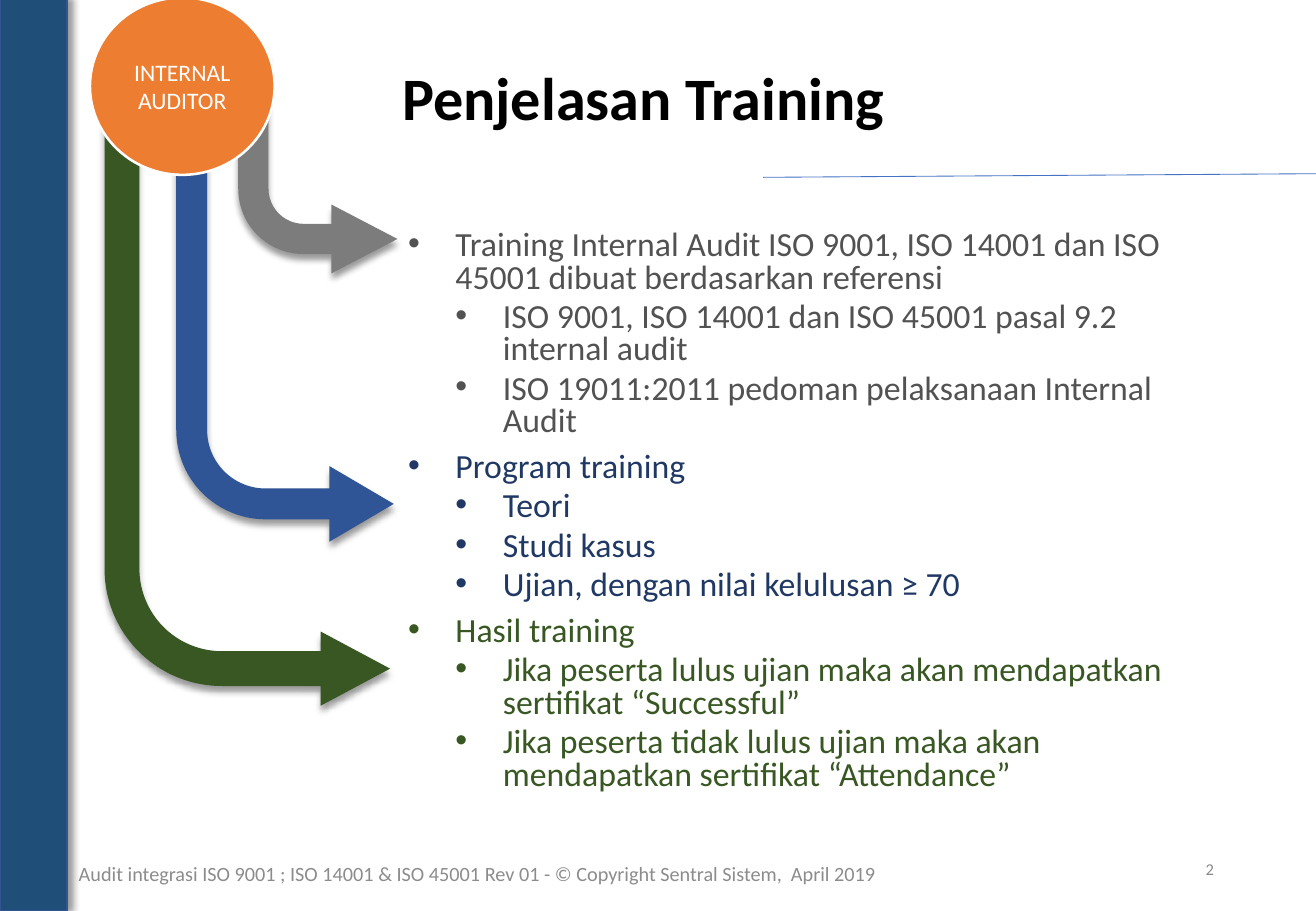
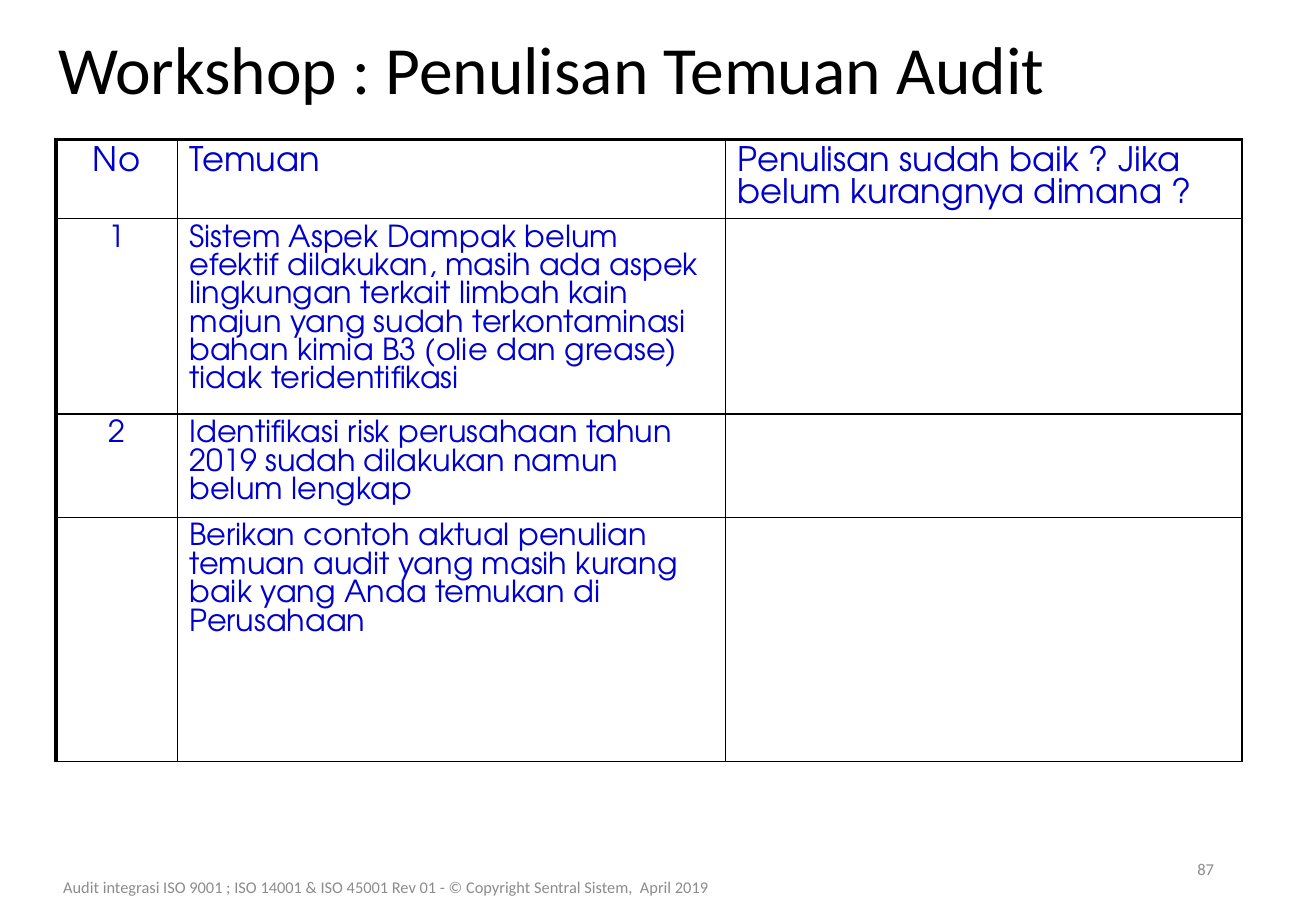
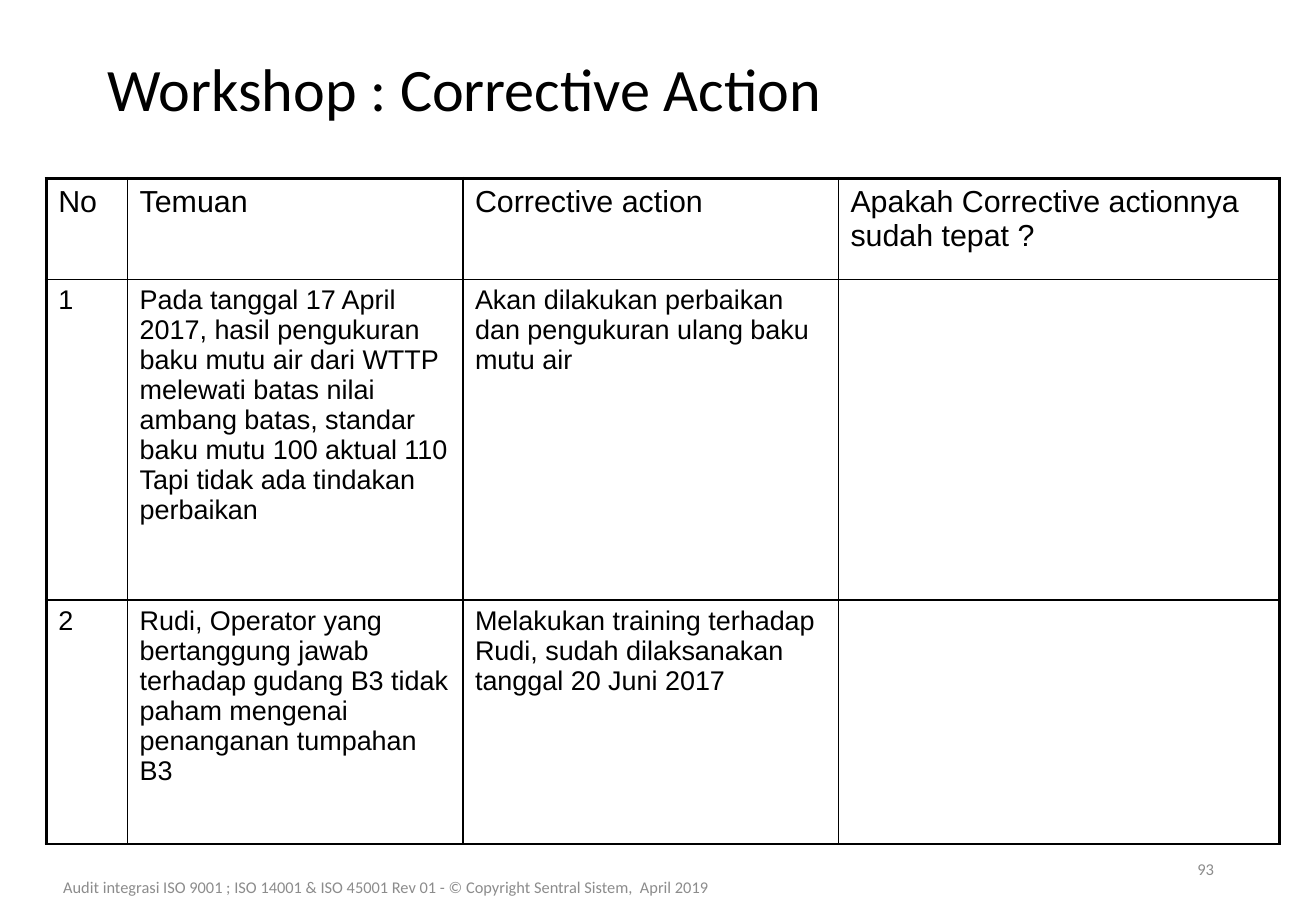
"""Build three internal audit training slides: an overview and two workshop tables."""
from dataclasses import dataclass

from lxml import etree
from pptx import Presentation
from pptx.dml.color import RGBColor
from pptx.enum.shapes import MSO_CONNECTOR, MSO_SHAPE
from pptx.enum.text import MSO_ANCHOR, PP_ALIGN
from pptx.oxml.ns import qn
from pptx.util import Inches, Pt

LEFT, CENTER, RIGHT = PP_ALIGN.LEFT, PP_ALIGN.CENTER, PP_ALIGN.RIGHT
TOP, MIDDLE = MSO_ANCHOR.TOP, MSO_ANCHOR.MIDDLE
ELLIPSE, RECTANGLE, BENT_ARROW = MSO_SHAPE.OVAL, MSO_SHAPE.RECTANGLE, MSO_SHAPE.BENT_ARROW
STRAIGHT = MSO_CONNECTOR.STRAIGHT


@dataclass(frozen=True)
class Theme:
    """Colours, fonts, type sizes and line widths."""
    font: str = "Calibri"
    black: str = "000000"
    white: str = "FFFFFF"
    muted: str = "8C8C8C"
    band: str = "1F4E79"
    band_edge: str = "325491"
    rule: str = "4472C4"
    badge: str = "ED7D31"
    title_size: float = 35.7
    wide_title_size: float = 40
    body_size: float = 20
    badge_size: float = 14
    footer_size: float = 12
    small_footer_size: float = 9.7
    number_size: float = 9.8
    thick: float = 2.25
    thin: float = 1


THEME = Theme()
WIDTH, HEIGHT = 10.83, 7.5
FOOTER = "Audit integrasi ISO 9001 ; ISO 14001 & ISO 45001 Rev 01 - © Copyright Sentral Sistem,  April 2019"
NUMBER_BOX = (7.65, 6.95, 2.44, 0.4)
WORKSHOP_FOOTER_BOX = (-0.09, 7.1, 6.54, 0.4)

TOPICS = [
    ("525252", "Training Internal Audit ISO 9001, ISO 14001 dan ISO 45001 dibuat berdasarkan referensi", [
        "ISO 9001, ISO 14001 dan ISO 45001 pasal 9.2 internal audit",
        "ISO 19011:2011 pedoman pelaksanaan Internal Audit"]),
    ("203864", "Program training", ["Teori", "Studi kasus", "Ujian, dengan nilai kelulusan ≥ 70"]),
    ("385723", "Hasil training", [
        "Jika peserta lulus ujian maka akan mendapatkan sertifikat “Successful”",
        "Jika peserta tidak lulus ujian maka akan mendapatkan sertifikat “Attendance”"]),
]
ARROWS = [
    ("7C7C7C", (1.96, 0.44, 1.31, 1.81), (0.19, 0.216, 0.414, 0.411)),
    ("2F5597", (1.45, 0, 1.79, 4.46), (0.142, 0.174, 0.296, 0.411)),
    ("385723", (0.86, 0.44, 2.35, 5.37), (0.122, 0.13, 0.243, 0.411)),
]
WORKSHOPS = [
    {
        "title": "Workshop : Penulisan Temuan Audit", "title_box": (0.38, -0.03, 9.91, 1.25),
        "title_size": THEME.wide_title_size, "number": "87", "origin": (0.46, 1.15),
        "columns": (1, 4.51, 4.25), "rows": (0.65, 1.61, 0.85, 2.01),
        "font": "TeX Gyre Adventor", "color": "0000CC", "sizes": (20, 18),
        "line_spacings": (Pt(18.9), Pt(16.8)),
        "number_align": CENTER, "right_edge": THEME.thin,
        "cells": [
            ("No", "Temuan", "Penulisan sudah baik ? Jika belum kurangnya dimana ?"),
            ("1", "Sistem Aspek Dampak belum efektif dilakukan, masih ada aspek lingkungan terkait "
                  "limbah kain majun yang sudah terkontaminasi bahan kimia B3 (olie dan grease) "
                  "tidak teridentifikasi", ""),
            ("2", "Identifikasi risk perusahaan tahun 2019 sudah dilakukan namun belum lengkap", ""),
            ("", "Berikan contoh aktual penulian temuan audit yang masih kurang baik yang Anda "
                 "temukan di Perusahaan", ""),
        ],
    },
    {
        "title": "Workshop : Corrective Action", "title_box": (0.79, 0.13, 9.75, 1.25),
        "title_size": THEME.title_size, "number": "93", "origin": (0.38, 1.47),
        "columns": (0.67, 2.76, 3.09, 3.63), "rows": (0.83, 2.64, 2.01),
        "font": "Arial", "color": THEME.black, "sizes": (18, 16),
        "line_spacings": (1.0, 1.0),
        "number_align": LEFT, "right_edge": THEME.thick,
        "cells": [
            ("No", "Temuan", "Corrective action", "Apakah Corrective actionnya sudah tepat ?"),
            ("1", "Pada tanggal 17 April 2017, hasil pengukuran baku mutu air dari WTTP melewati batas "
                  "nilai ambang batas, standar baku mutu 100 aktual 110 Tapi tidak ada tindakan perbaikan",
             "Akan dilakukan perbaikan dan pengukuran ulang baku mutu air", ""),
            ("2", "Rudi, Operator yang bertanggung jawab terhadap gudang B3 tidak paham mengenai "
                  "penanganan tumpahan B3",
             "Melakukan training terhadap Rudi, sudah dilaksanakan tanggal 20 Juni 2017", ""),
        ],
    },
]


def inches(values):
    return [Inches(value) for value in values]


def style(paragraph, size, color, font=THEME.font, bold=False, align=LEFT):
    paragraph.alignment = align
    paragraph.font.name = font
    paragraph.font.size = Pt(size)
    paragraph.font.bold = bold
    paragraph.font.color.rgb = RGBColor.from_string(color)


def add_frame(slide, box, anchor=MIDDLE):
    frame = slide.shapes.add_textbox(*inches(box)).text_frame
    frame.word_wrap = True
    frame.vertical_anchor = anchor
    return frame


def add_label(slide, box, text, size, color=THEME.muted, **options):
    paragraph = add_frame(slide, box).paragraphs[0]
    paragraph.text = text
    style(paragraph, size, color, **options)
    return paragraph


def add_title(slide, box, text, size, bold=False):
    add_label(slide, box, text, size, THEME.black, bold=bold).line_spacing = 0.9


def add_number(slide, number):
    add_label(slide, NUMBER_BOX, number, THEME.number_size, align=RIGHT)


def add_solid(slide, kind, box, fill, edge=None, edge_width=1):
    shape = slide.shapes.add_shape(kind, *inches(box))
    shape.shadow.inherit = False
    shape.fill.solid()
    shape.fill.fore_color.rgb = RGBColor.from_string(fill)
    if edge:
        shape.line.color.rgb = RGBColor.from_string(edge)
        shape.line.width = Pt(edge_width)
    else:
        shape.line.fill.background()
    return shape


def add_shadow(shape, degrees):
    effects = shape._element.spPr.find(qn("a:effectLst"))
    shadow = etree.SubElement(effects, qn("a:outerShdw"), blurRad=str(Pt(4)), dist=str(Pt(3)),
                              dir=str(degrees * 60000), algn="ctr", rotWithShape="0")
    color = etree.SubElement(shadow, qn("a:srgbClr"), val=THEME.black)
    etree.SubElement(color, qn("a:alpha"), val="40000")


def add_topics(slide, box):
    frame = add_frame(slide, box, TOP)
    items = [(level, text, color) for color, heading, details in TOPICS
             for level, text in [(0, heading)] + [(1, detail) for detail in details]]
    for index, (level, text, color) in enumerate(items):
        paragraph = frame.add_paragraph() if index else frame.paragraphs[0]
        paragraph.text = text
        paragraph.level = level
        paragraph.line_spacing = 0.8
        paragraph.space_before = Pt((4.1 if level else 8.1) if index else 0)
        properties = paragraph._p.get_or_add_pPr()
        properties.set("marL", str(Inches(1.18 + 0.39 * level)))
        properties.set("indent", str(Inches(-0.39)))
        etree.SubElement(properties, qn("a:buFont"), typeface="Arial")
        etree.SubElement(properties, qn("a:buChar"), char="•")
        style(paragraph, THEME.body_size, color)


def set_borders(cell, widths):
    properties = cell._tc.get_or_add_tcPr()
    for position, (side, width) in enumerate(zip("LRTB", widths)):
        line = etree.Element(qn(f"a:ln{side}"), w=str(Pt(width)))
        fill = etree.SubElement(line, qn("a:solidFill"))
        etree.SubElement(fill, qn("a:srgbClr"), val=THEME.black)
        properties.insert(position, line)


def add_findings(slide, workshop):
    columns, rows = workshop["columns"], workshop["rows"]
    box = (*workshop["origin"], sum(columns), sum(rows))
    table = slide.shapes.add_table(len(rows), len(columns), *inches(box)).table
    table.first_row = table.horz_banding = False
    for column, width in zip(table.columns, columns):
        column.width = Inches(width)
    for row, height in zip(table.rows, rows):
        row.height = Inches(height)
    for row_index, texts in enumerate(workshop["cells"]):
        kind = min(row_index, 1)
        for column_index, text in enumerate(texts):
            cell = table.cell(row_index, column_index)
            cell.fill.background()
            set_borders(cell, (
                THEME.thin if column_index else THEME.thick,
                workshop["right_edge"] if column_index == len(columns) - 1 else THEME.thin,
                THEME.thin if row_index else THEME.thick,
                THEME.thin))
            cell.text = text
            paragraph = cell.text_frame.paragraphs[0]
            paragraph.line_spacing = workshop["line_spacings"][kind]
            style(paragraph, workshop["sizes"][kind], workshop["color"], workshop["font"],
                  align=LEFT if column_index else workshop["number_align"])


def build_overview(slide):
    add_title(slide, (3.21, 0.21, 6.52, 1.25), "Penjelasan Training", THEME.title_size, bold=True)
    add_topics(slide, (2.47, 1.85, 7.62, 4.95))
    add_label(slide, (0.55, 7.03, 7.94, 0.32), FOOTER, THEME.footer_size)
    add_number(slide, "2")
    for color, box, adjustments in ARROWS:
        arrow = add_solid(slide, BENT_ARROW, box, color)
        for index, value in enumerate(adjustments):
            arrow.adjustments[index] = value
        arrow.rotation = 180
        arrow._element.spPr.find(qn("a:xfrm")).set("flipH", "1")
        add_shadow(arrow, 90)
    badge = add_solid(slide, ELLIPSE, (0.74, -0.02, 1.52, 1.46), THEME.badge, THEME.white, 1.5)
    badge.text_frame.word_wrap = True
    badge.text_frame.vertical_anchor = MIDDLE
    paragraph = badge.text_frame.paragraphs[0]
    paragraph.text = "INTERNAL AUDITOR"
    style(paragraph, THEME.badge_size, THEME.white, align=CENTER)
    band = add_solid(slide, RECTANGLE, (0, -0.02, 0.55, HEIGHT + 0.02), THEME.band, THEME.band_edge)
    add_shadow(band, 0)
    rule = slide.shapes.add_connector(STRAIGHT, *inches((6.28, 1.46, WIDTH, 1.43)))
    rule.line.color.rgb = RGBColor.from_string(THEME.rule)
    rule.line.width = Pt(0.5)
    etree.SubElement(rule._element.spPr, qn("a:effectLst"))


def build_workshop(slide, workshop):
    add_number(slide, workshop["number"])
    add_title(slide, workshop["title_box"], workshop["title"], workshop["title_size"])
    add_findings(slide, workshop)
    add_label(slide, WORKSHOP_FOOTER_BOX, FOOTER, THEME.small_footer_size, align=CENTER)


def main():
    presentation = Presentation()
    presentation.slide_width, presentation.slide_height = inches((WIDTH, HEIGHT))
    blank = presentation.slide_layouts[6]
    build_overview(presentation.slides.add_slide(blank))
    for workshop in WORKSHOPS:
        build_workshop(presentation.slides.add_slide(blank), workshop)
    presentation.save("out.pptx")


if __name__ == "__main__":
    main()
